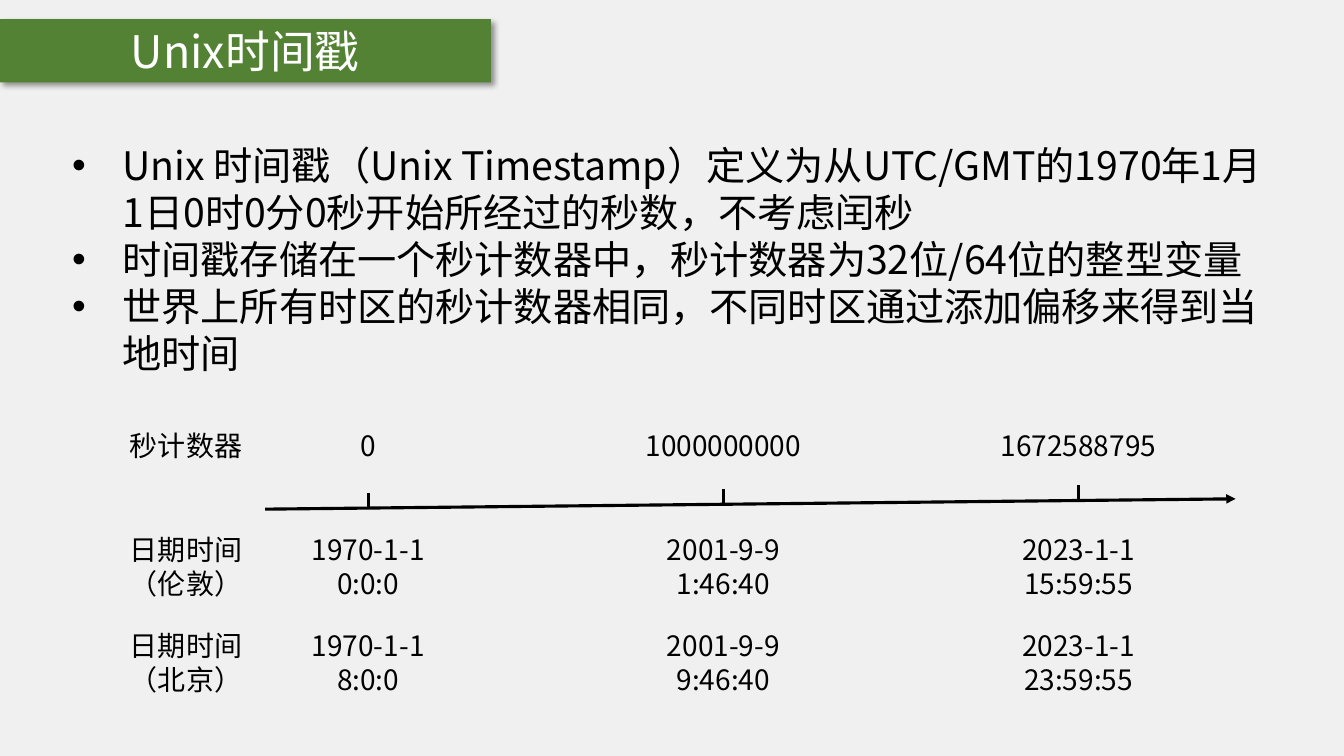
from lxml import etree
from pptx import Presentation
from pptx.dml.color import RGBColor
from pptx.enum.shapes import MSO_CONNECTOR, MSO_SHAPE
from pptx.enum.text import MSO_ANCHOR, MSO_AUTO_SIZE, PP_ALIGN
from pptx.oxml.ns import qn
from pptx.util import Cm, Pt

RECT = MSO_SHAPE.RECTANGLE
LINE = MSO_CONNECTOR.STRAIGHT
MIDDLE = MSO_ANCHOR.MIDDLE
GROW = MSO_AUTO_SIZE.SHAPE_TO_FIT_TEXT
CENTER, LEFT = PP_ALIGN.CENTER, PP_ALIGN.LEFT
FONT = "Noto Sans CJK SC"
COLORS = {"back": "F0F0F0", "green": "548235", "white": "FFFFFF", "black": "000000"}


def write(frame, text, size, color="black", align=CENTER):
    frame.text = text
    frame.word_wrap = True
    for para in frame.paragraphs:
        para.alignment = align
        for run in para.runs:
            run.font.size = Pt(size)
            run.font.color.rgb = RGBColor.from_string(COLORS[color])
            run.font.name = FONT
            east = etree.SubElement(run._r.get_or_add_rPr(), qn("a:ea"))
            east.set("typeface", FONT)


def draw(group, x1, y1, x2, y2):
    line = group.shapes.add_connector(LINE, Cm(x1), Cm(y1), Cm(x2), Cm(y2))
    line.line.color.rgb = RGBColor.from_string(COLORS["black"])
    line.line.width = Pt(2.25)
    etree.SubElement(line._element.spPr, qn("a:effectLst"))
    return line


prs = Presentation()
prs.slide_width, prs.slide_height = Cm(33.87), Cm(19.05)
slide = prs.slides.add_slide(prs.slide_layouts[6])
slide.background.fill.solid()
slide.background.fill.fore_color.rgb = RGBColor.from_string(COLORS["back"])

# Title bar with a soft shadow
bar = slide.shapes.add_shape(RECT, 0, Cm(0.48), Cm(12.37), Cm(1.6))
bar.fill.solid()
bar.fill.fore_color.rgb = RGBColor.from_string(COLORS["green"])
bar.line.fill.background()
bar.shadow.inherit = False
glow = etree.SubElement(bar._element.spPr.find(qn("a:effectLst")), qn("a:outerShdw"),
                        blurRad=str(Pt(4)), dist=str(Pt(3)), dir="2700000",
                        algn="tl", rotWithShape="0")
tint = etree.SubElement(glow, qn("a:srgbClr"), val=COLORS["black"])
etree.SubElement(tint, qn("a:alpha"), val="40000")
bar.text_frame.vertical_anchor = MIDDLE
write(bar.text_frame, "Unix时间戳", 32, "white")

# Bullet list
points = [
    "Unix 时间戳（Unix Timestamp）定义为从UTC/GMT的1970年1月1日0时0分0秒开始所经过的秒数，不考虑闰秒",
    "时间戳存储在一个秒计数器中，秒计数器为32位/64位的整型变量",
    "世界上所有时区的秒计数器相同，不同时区通过添加偏移来得到当地时间",
]
body = slide.shapes.add_textbox(Cm(1.57), Cm(3.43), Cm(30.68), Cm(6.25))
write(body.text_frame, "\n".join(points), 28, align=LEFT)
body.text_frame.auto_size = GROW
for para in body.text_frame.paragraphs:
    props = para._p.get_or_add_pPr()
    props.set("marL", str(Cm(1.27)))
    props.set("indent", str(-Cm(1.27)))
    etree.SubElement(props, qn("a:buFont"), typeface="Arial")
    etree.SubElement(props, qn("a:buChar"), char="•")

# Time axis
chart = slide.shapes.add_group_shape()
left, right, low, high = 6.68, 31.14, 12.83, 12.57
axis = draw(chart, left, low, right, high)
etree.SubElement(axis.line._get_or_add_ln(), qn("a:tailEnd"), type="triangle")

# Columns: centre and the texts of the three rows
first, step = 9.28, 8.95
columns = [
    (4.69, ["秒计数器", "日期时间\n（伦敦）", "日期时间\n（北京）"]),
    (first, ["0", "1970-1-1\n0:0:0", "1970-1-1\n8:0:0"]),
    (first + step, ["1000000000", "2001-9-9\n1:46:40", "2001-9-9\n9:46:40"]),
    (first + 2 * step, ["1672588795", "2023-1-1\n15:59:55", "2023-1-1\n23:59:55"]),
]
rows = [(10.67, 1.11), (13.3, 1.97), (15.72, 1.97)]
for mid, texts in columns:
    if mid >= first:
        y = low + (high - low) * (mid - left) / (right - left)
        draw(chart, mid, y, mid, y - 0.39)
    for text, (top, height) in zip(texts, rows):
        width = 4.75 if len(text) == 10 and "\n" not in text else 3.94
        box = chart.shapes.add_textbox(Cm(mid - width / 2), Cm(top), Cm(width), Cm(height))
        write(box.text_frame, text, 20)
        box.text_frame.auto_size = GROW

prs.save("out.pptx")
